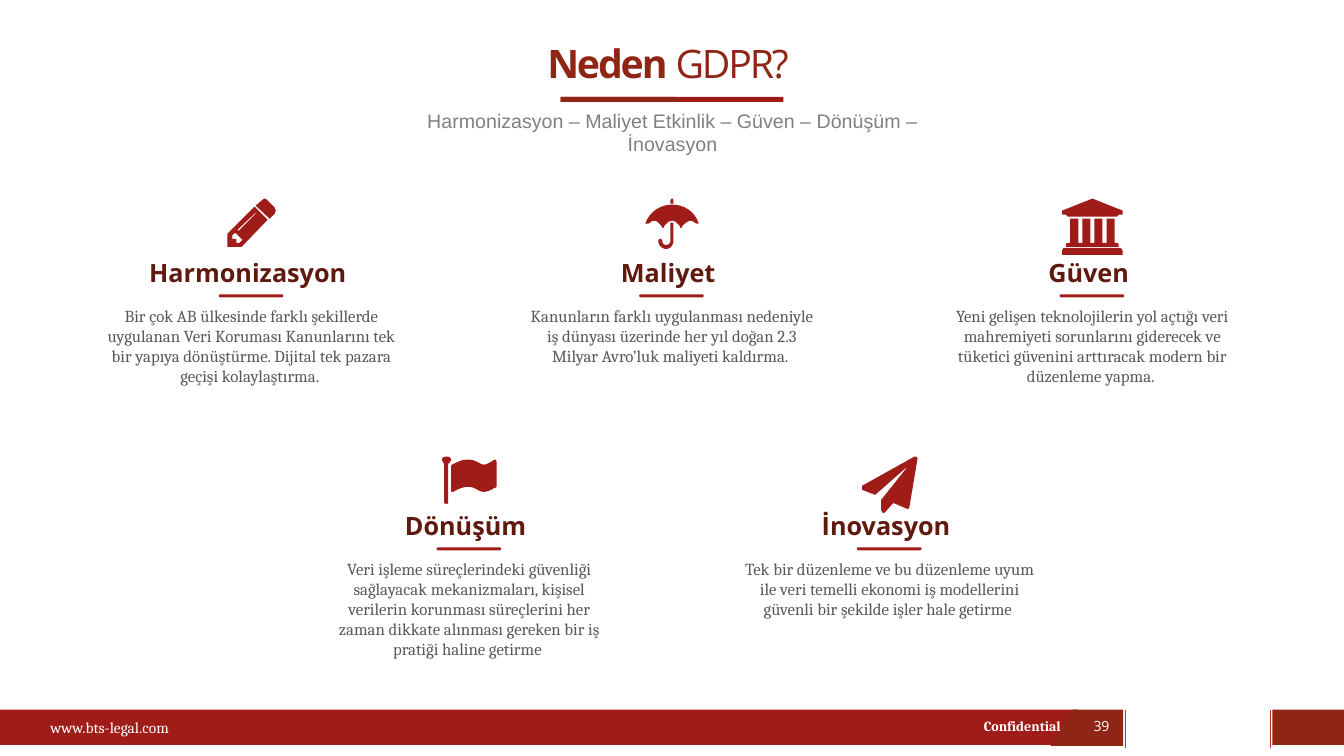
from pptx import Presentation
from pptx.dml.color import RGBColor
from pptx.enum.shapes import MSO_CONNECTOR as LINE, MSO_SHAPE as SHAPE
from pptx.enum.text import MSO_ANCHOR as ANCHOR, PP_ALIGN as ALIGN
from pptx.oxml.ns import qn
from pptx.util import Inches, Pt
from lxml.etree import SubElement

RED, DARK, DEEP, WHITE = "A01C18", "8F2515", "60190E", "FFFFFF"

PENCIL = [
    "40,21 14,48 0,48 0,35 27,8",
    "15,41 8,34 5,36 5,40 9,40 9,44 12,44",
    "28,14 10,31 11,32 28,15",
    "47,15 42,20 28,7 34,2 35,1,36,0,37,0 38,0,39,1,40,2 47,9 47,10,48,11,48,12 48,12,47,14,47,15",
]
BROLLY = [
    "51,25 49,24,47,22,45,22 42,22,39,25,37,27 36,29 35,29 34,27 32,25,30,22,27,22 "
    "23,22,21,25,19,27 18,29 17,29 16,27 14,25,12,22,9,22 6,22,5,24,3,25 0,25 "
    "4,13,15,6,27,6 38,6,50,13,53,25",
    "28,42 28,46,25,50,21,50 16,50,13,46,13,42 13,41,14,40,14,40 16,40,17,41,17,42 "
    "17,44,18,46,21,46 23,46,25,44,25,42 25,24 28,24",
    "28,5 25,5 25,2 25,1,26,0,27,0 27,0,28,1,28,2",
]
BANK = [
    "60,12 60,16 56,16 56,16,55,18,54,18 6,18 5,18,4,16,4,16 0,16 0,12 30,0",
    "60,52 60,56 0,56 0,52 0,51,1,49,2,49 58,49 58,49,60,51,60,52",
    "16,20 16,44 20,44 20,20 28,20 28,44 32,44 32,20 40,20 40,44 44,44 44,20 52,20 52,44 "
    "54,44 55,44,56,44,56,46 56,48 4,48 4,46 4,44,5,44,6,44 8,44 8,20",
]
FLAG = [
    "6,7 6,46 5,47 4,47 2,46 2,7 1,6,0,4,0,3 0,1,2,0,5,0 6,0,9,1,9,3 9,4,8,6,6,7",
    "54,29 54,30,54,31,52,31 49,33,45,35,41,35 36,35,33,30,26,30 21,30,16,32,11,35 10,35 "
    "9,35,9,34,9,33 9,10 9,9 10,8,11,7,12,7 16,5,20,3,25,3 30,3,33,4,38,7 "
    "39,7,40,8,41,8 46,8,51,3,52,3 53,3,54,4,54,5",
]
PLANE = [
    "55,2 47,50 47,51,46,52,45,52 31,46 23,55 22,56 21,56 20,55 19,53 19,43 46,9 13,38 "
    "0,33 0,29 52,0 54,0,55,1,55,2",
]

TOP = [
    (PENCIL, "Harmonizasyon", "Bir çok AB ülkesinde farklı şekillerde uygulanan Veri Koruması "
     "Kanunlarını tek bir yapıya dönüştürme. Dijital tek pazara geçişi kolaylaştırma.", 0.91),
    (BROLLY, "Maliyet", "Kanunların farklı uygulanması nedeniyle iş dünyası üzerinde her yıl "
     "doğan 2.3 Milyar Avro’luk maliyeti kaldırma.", 0.91),
    (BANK, "Güven", "Yeni gelişen teknolojilerin yol açtığı veri mahremiyeti sorunlarını "
     "giderecek ve tüketici güvenini arttıracak modern bir düzenleme yapma.", 0.91),
]
LOW = [
    (FLAG, "Dönüşüm", "Veri işleme süreçlerindeki güvenliği sağlayacak mekanizmaları, kişisel "
     "verilerin korunması süreçlerini her zaman dikkate alınması gereken bir iş pratiği haline "
     "getirme", 1.11),
    (PLANE, "İnovasyon", "Tek bir düzenleme ve bu düzenleme uyum ile veri temelli ekonomi iş "
     "modellerini güvenli bir şekilde işler hale getirme", 0.91),
]


def color(code):
    return RGBColor.from_string(code)


def paint(shape, code):
    shape.shadow.inherit = False
    shape.fill.solid()
    shape.fill.fore_color.rgb = color(code)
    shape.line.fill.background()


def block(slide, x, y, w, h, code, kind=SHAPE.RECTANGLE):
    shape = slide.shapes.add_shape(kind, Inches(x), Inches(y), Inches(w), Inches(h))
    paint(shape, code)
    return shape


def label(slide, x, y, w, h, text, size, face, code, bold=False,
          align=ALIGN.CENTER, anchor=ANCHOR.MIDDLE, wrap=True):
    box = slide.shapes.add_textbox(Inches(x), Inches(y), Inches(w), Inches(h))
    frame = box.text_frame
    frame.text = text
    frame.word_wrap = wrap
    frame.vertical_anchor = anchor
    para = frame.paragraphs[0]
    para.alignment = align
    style(para.runs[0], size, face, code, bold)
    return para


def style(run, size, face, code, bold):
    font = run.font
    font.size, font.name, font.bold = Pt(size), face, bold
    font.color.rgb = color(code)


def trace(text):
    points = []
    for token in text.split():
        nums = [int(n) / 100 for n in token.split(",")]
        pairs = list(zip(nums[::2], nums[1::2]))
        if len(pairs) == 1:
            points += pairs
            continue
        curve = [points[-1]] + pairs
        for step in range(1, 9):
            t = step / 8
            parts = (1 - t) ** 3, 3 * t * (1 - t) ** 2, 3 * t * t * (1 - t), t ** 3
            points.append(tuple(sum(k * p[i] for k, p in zip(parts, curve)) for i in (0, 1)))
    return points


def outline(slide, x, y, loops, code):
    loops = [[(Inches(x + px), Inches(y + py)) for px, py in loop] for loop in loops]
    pen = slide.shapes.build_freeform(*loops[0][0])
    pen.add_line_segments(loops[0][1:])
    for loop in loops[1:]:
        pen.move_to(*loop[0])
        pen.add_line_segments(loop[1:])
    paint(pen.convert_to_shape(), code)


def footer(slide, y):
    block(slide, 0, y, 10.69, 0.35, RED)
    for x in (12.6, 11.16):
        line = slide.shapes.add_connector(LINE.STRAIGHT, Inches(x), Inches(y), Inches(x), Inches(y + 0.38))
        line.line.color.rgb = color("BF321C")
        line.line.width = Pt(1)
        SubElement(line._element.spPr, qn("a:effectLst"))
    outline(slide, 10.42, y, [[(0.22, 0), (0.72, 0), (0.72, 0.36), (0, 0.36)]], DARK)
    block(slide, 12.62, y, 0.71, 0.35, DARK)
    label(slide, 0.4, y + 0.01, 2.58, 0.34, "www.bts-legal.com", 11, "Cambria", WHITE, align=ALIGN.LEFT)
    label(slide, 9.66, y + 0.03, 1.1, 0.27, "Confidential", 10, "Cambria", WHITE, True,
          ALIGN.LEFT, ANCHOR.TOP, False)
    label(slide, 10.69, y - 0.04, 0.47, 0.4, "39", 10, "Open Sans", WHITE)


def header(slide, y):
    block(slide, 5.56, y + 0.66, 2.21, 0.05, RED)
    block(slide, 5.56, y + 0.66, 1.14, 0.05, DARK)
    label(slide, 4.01, y + 0.73, 5.32, 0.57,
          "Harmonizasyon – Maliyet Etkinlik – Güven – Dönüşüm – İnovasyon",
          14, "Arial", "808080", anchor=ANCHOR.TOP)
    title = label(slide, 1.32, y, 10.69, 0.64, "Neden ", 28, "Open Sans", DARK, True)
    rest = title.add_run()
    rest.text = "GDPR? "
    style(rest, 28, "Open Sans", DARK, False)
    for run in title.runs:
        run._r.get_or_add_rPr().set("spc", "-150")


def card(slide, x, y, lift, icon, head, body, high):
    wide = 3.07
    loops = [trace(text) for text in icon]
    span = max(px for loop in loops for px, _ in loop)
    outline(slide, x + (wide - span) / 2, y - lift, loops, RED)
    label(slide, x + 0.39, y, 2.28, 0.37, head + " ", 18, "Open Sans", DEEP, True)
    label(slide, x, y + 0.46, wide, high, body + " ", 12, "Cambria", "595959", anchor=ANCHOR.TOP)
    rule = block(slide, x + 1.21, y + 0.4, 0.64, 0.03, RED, SHAPE.ROUNDED_RECTANGLE)
    rule.adjustments[0] = 0.5


def main():
    deck = Presentation()
    deck.slide_width, deck.slide_height = Inches(13.33), Inches(7.5)
    slide = deck.slides.add_slide(deck.slide_layouts[6])
    footer(slide, 7.04)
    header(slide, 0.3)
    for left, top, lift, row in ((0.96, 2.52, 0.55, TOP), (3.12, 5.03, 0.5, LOW)):
        for i, item in enumerate(row):
            card(slide, left + i * 4.17, top, lift, *item)
    deck.save("out.pptx")


if __name__ == "__main__":
    main()
